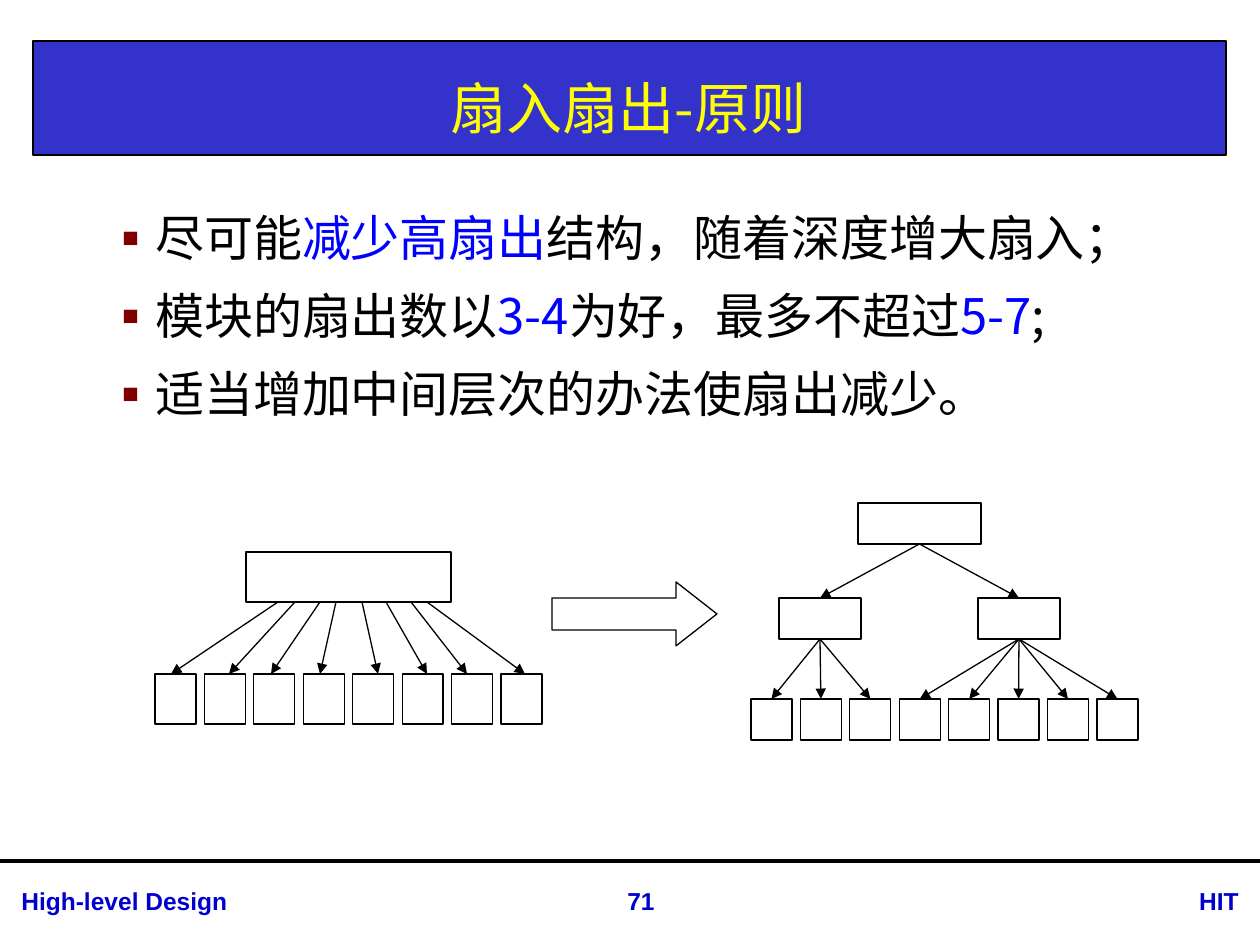
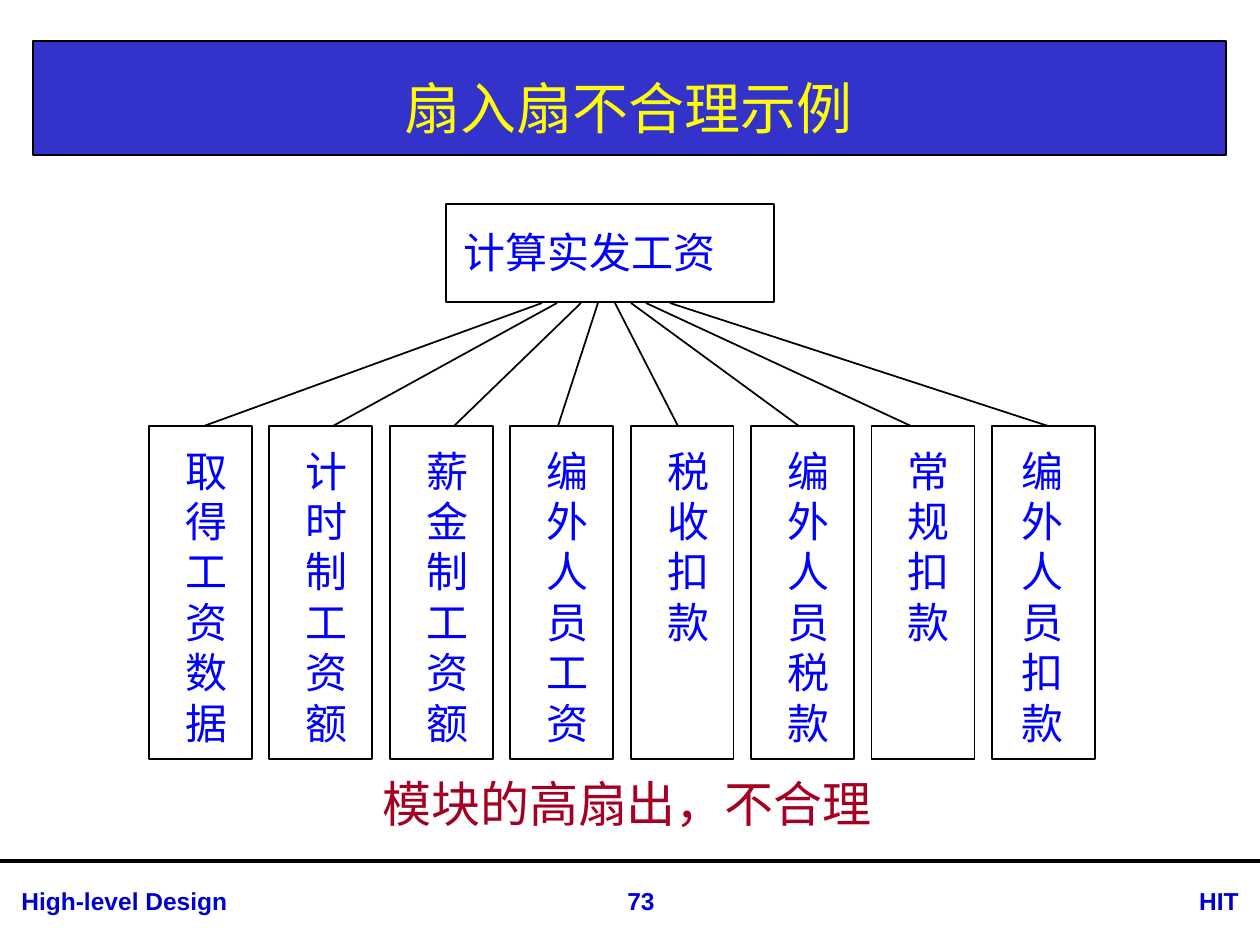
"""Build two slides on fan-in and fan-out in module design."""
from dataclasses import dataclass

from lxml import etree
from pptx import Presentation
from pptx.dml.color import RGBColor
from pptx.enum.shapes import MSO_CONNECTOR, MSO_SHAPE
from pptx.enum.text import MSO_ANCHOR, PP_ALIGN
from pptx.oxml.ns import qn
from pptx.util import Emu, Pt

RECT, RIGHT_ARROW = MSO_SHAPE.RECTANGLE, MSO_SHAPE.RIGHT_ARROW
STRAIGHT = MSO_CONNECTOR.STRAIGHT
LEFT, CENTER, RIGHT = PP_ALIGN.LEFT, PP_ALIGN.CENTER, PP_ALIGN.RIGHT
TOP, MIDDLE = MSO_ANCHOR.TOP, MSO_ANCHOR.MIDDLE
SCALE = 914400 / 126


@dataclass(frozen=True)
class Theme:
    band: str = "3333CC"
    white: str = "FFFFFF"
    black: str = "000000"
    title: str = "FFFF00"
    footer: str = "0000CC"
    accent: str = "0000FF"
    bullet: str = "800000"
    verdict: str = "A50021"
    cjk: str = "Noto Sans CJK SC"
    latin: str = "Arial"
    title_size: int = 32
    body_size: int = 28
    label_size: int = 24
    footer_size: int = 14
    thin: float = 0.75
    medium: float = 1
    thick: float = 2.25


T = Theme()

STYLES = {
    "title": {"name": T.cjk, "size": T.title_size, "color": T.title, "bold": False},
    "body": {"name": T.cjk, "size": T.body_size, "color": T.black, "bold": False},
    "label": {"name": T.cjk, "size": T.label_size, "color": T.accent, "bold": False},
    "verdict": {"name": T.cjk, "size": T.body_size, "color": T.verdict, "bold": False},
    "footer": {"name": T.latin, "size": T.footer_size, "color": T.footer, "bold": True},
}


def add_box(s, kind, box, fill, width):
    sp = s.shapes.add_shape(kind, *[Emu(round(v * SCALE)) for v in box])
    sp.shadow.inherit = False
    if fill:
        sp.fill.solid()
        sp.fill.fore_color.rgb = RGBColor.from_string(fill)
    else:
        sp.fill.background()
    sp.line.color.rgb = RGBColor.from_string(T.black)
    sp.line.width = Pt(width)
    return sp


def add_line(s, ends, width, arrow=False):
    c = s.shapes.add_connector(STRAIGHT, *[Emu(round(v * SCALE)) for v in ends])
    c.line.color.rgb = RGBColor.from_string(T.black)
    c.line.width = Pt(width)
    if arrow:
        etree.SubElement(c.line._get_or_add_ln(), qn("a:tailEnd"), type="triangle")
    etree.SubElement(c._element.spPr, qn("a:effectLst"))
    return c


prs = Presentation()
prs.slide_width, prs.slide_height = Emu(round(1260 * SCALE)), Emu(round(945 * SCALE))

slides, texts = [], []
for title, number in [("扇入扇出-原则", "71"), ("扇入扇不合理示例", "73")]:
    s = prs.slides.add_slide(prs.slide_layouts[6])
    add_box(s, RECT, (33, 41, 1193, 114), T.band, T.thin)
    add_line(s, (0, 861, 1260, 861), T.thick)
    texts += [
        (s, (33, 52, 1191, 110), "title", CENTER, [[title]]),
        (s, (9, 880, 485, 43), "footer", LEFT, [["High-level Design"]]),
        (s, (576, 880, 130, 43), "footer", CENTER, [[number]]),
        (s, (1121, 880, 130, 43), "footer", RIGHT, [["HIT"]]),
    ]
    slides.append(s)
principle, example = slides

texts.append((principle, (94, 201, 1091, 590), "body", LEFT, [
    ["尽可能", "减少高扇出", "结构，随着深度增大扇入；"],
    ["模块的扇出数以", "3-4", "为好，最多不超过", "5-7", ";"],
    ["适当增加中间层次的办法使扇出减少。"],
]))

add_box(principle, RECT, (246, 552, 205, 50), T.white, T.thin)
for i in range(8):
    add_box(principle, RECT, (155 + i * 346 / 7, 674, 41, 50), T.white, T.thin)
starts = [278, 295, 320, 336, 362, 386, 411, 427]
tips = [171, 229, 271, 320, 378, 427, 467, 525]
for start, tip in zip(starts, tips):
    add_line(principle, (start, 602, tip, 674), T.thin, arrow=True)

root = add_box(principle, RECT, (858, 503, 123, 41), T.white, T.thin)
mids = [add_box(principle, RECT, (x, 598, 82, 41), T.white, T.thin) for x in (779, 978)]
leaves = [add_box(principle, RECT, (751 + i * 346 / 7, 699, 41, 41), T.white, T.thin)
          for i in range(8)]
links = [(root, mid) for mid in mids]
links += [(mids[0 if i < 3 else 1], leaf) for i, leaf in enumerate(leaves)]
for parent, child in links:
    c = add_line(principle, (0, 0, 0, 0), T.thin, arrow=True)
    c.begin_connect(parent, 2)
    c.end_connect(child, 0)

arrow = add_box(principle, RIGHT_ARROW, (552, 582, 165, 64), T.white, T.thin)
arrow.adjustments[0], arrow.adjustments[1] = 0.5, 0.64

add_box(example, RECT, (446, 204, 328, 98), None, T.medium)
texts.append((example, (451, 220, 464, 63), "label", LEFT, [["计算实发工资"]]))
modules = ["取得工资数据", "计时制工资额", "薪金制工资额", "编外人员工资",
           "税收扣款", "编外人员税款", "常规扣款", "编外人员扣款"]
starts = [542, 557, 581, 598, 615, 631, 646, 670]
ends = [204, 333, 454, 558, 678, 799, 911, 1048]
for i, (module, start, end) in enumerate(zip(modules, starts, ends)):
    x = 149 + i * 843 / 7
    add_box(example, RECT, (x, 426, 103, 333), None, T.medium)
    add_line(example, (start, 303, end, 426), T.medium)
    inset = 17 if i == 7 else 24
    texts.append((example, (x + inset, 439, 72, 50 * len(module) + 15), "label", LEFT,
                  [[char] for char in module]))
texts.append((example, (370, 767, 540, 72), "verdict", LEFT, [["模块的高扇出，不合理"]]))

for s, box, style, align, paragraphs in texts:
    look = STYLES[style]
    tf = s.shapes.add_textbox(*[Emu(round(v * SCALE)) for v in box]).text_frame
    tf.word_wrap = True
    tf.vertical_anchor = MIDDLE if style == "title" else TOP
    for i, runs in enumerate(paragraphs):
        p = tf.paragraphs[0] if i == 0 else tf.add_paragraph()
        p.alignment = align
        if look["name"] == T.cjk:
            p.line_spacing = Pt(look["size"] * 1.2)
        if style == "body":
            p.space_after = Pt(11)
            pPr = p._p.get_or_add_pPr()
            indent = round(48 * SCALE)
            pPr.set("marL", str(indent))
            pPr.set("indent", str(-indent))
            color = etree.SubElement(pPr, qn("a:buClr"))
            etree.SubElement(color, qn("a:srgbClr"), val=T.bullet)
            etree.SubElement(pPr, qn("a:buFont"), typeface=T.cjk)
            etree.SubElement(pPr, qn("a:buChar"), char="▪")
        for j, text in enumerate(runs):
            r = p.add_run()
            r.text = text
            values = {"name": look["name"], "size": Pt(look["size"]), "bold": look["bold"]}
            for key, value in values.items():
                setattr(r.font, key, value)
            r.font.color.rgb = RGBColor.from_string(T.accent if j % 2 else look["color"])
            etree.SubElement(r._r.get_or_add_rPr(), qn("a:ea"), typeface=look["name"])

prs.save("out.pptx")
